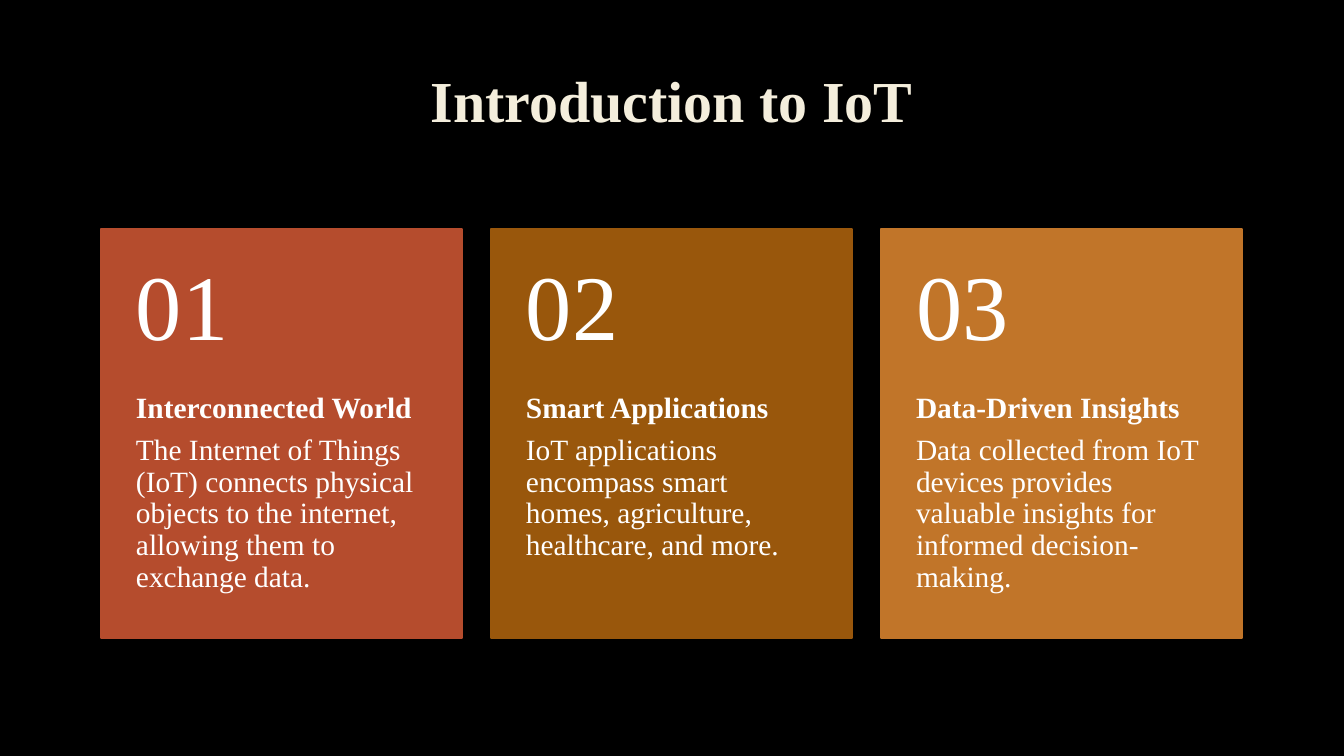
from pptx import Presentation
from pptx.dml.color import RGBColor
from pptx.enum.shapes import MSO_SHAPE as Shape
from pptx.enum.text import MSO_ANCHOR as Anchor, PP_ALIGN as Align
from pptx.util import Pt

EMU_PER_PX = 914400 / 100.8
FONT = "Times New Roman"
BLACK = RGBColor(0x00, 0x00, 0x00)
CREAM = RGBColor(0xF4, 0xEE, 0xDC)
WHITE = RGBColor(0xFF, 0xFF, 0xFF)
RED = RGBColor(0xB5, 0x4C, 0x2D)
BROWN = RGBColor(0x99, 0x57, 0x0C)
ORANGE = RGBColor(0xC1, 0x75, 0x29)

CARDS = [
    (RED, "Interconnected World",
     "The Internet of Things (IoT) connects physical objects to the internet, "
     "allowing them to exchange data."),
    (BROWN, "Smart Applications",
     "IoT applications encompass smart homes, agriculture, healthcare, and more."),
    (ORANGE, "Data-Driven Insights",
     "Data collected from IoT devices provides valuable insights for informed "
     "decision-making."),
]


def px(length):
    """Turn px into EMU."""
    return round(length * EMU_PER_PX)


def add_text(shapes, box, paragraphs, *, size, color=WHITE, align=Align.LEFT,
             anchor=Anchor.TOP, insets=(0, 0, 0, 0), space_after=0):
    """Add a text box from (text, bold) paragraphs."""
    frame = shapes.add_textbox(*map(px, box)).text_frame
    frame.word_wrap = True
    frame.vertical_anchor = anchor
    (frame.margin_left, frame.margin_top,
     frame.margin_right, frame.margin_bottom) = map(px, insets)
    for index, (text, bold) in enumerate(paragraphs):
        paragraph = frame.add_paragraph() if index else frame.paragraphs[0]
        paragraph.alignment = align
        paragraph.line_spacing = 0.9
        paragraph.space_after = Pt(space_after)
        run = paragraph.add_run()
        run.text = text
        run.font.name = FONT
        run.font.size = Pt(size)
        run.font.bold = bold
        run.font.color.rgb = color


def add_title(slide, box):
    """Place the slide title in the upper part of its box."""
    add_text(slide.shapes, box, [("Introduction to IoT", True)], size=41.4,
             color=CREAM, align=Align.CENTER, anchor=Anchor.MIDDLE,
             insets=(10, 5, 10, 70))


def add_card(slide, box, number, color, heading, body):
    """Place one coloured card with its number, heading and body."""
    left, top, width, height = box
    number_height = 164
    shapes = slide.shapes.add_group_shape().shapes
    card = shapes.add_shape(Shape.RECTANGLE, *map(px, box))
    card.shadow.inherit = False
    card.fill.solid()
    card.fill.fore_color.rgb = color
    card.line.color.rgb = color
    card.line.width = Pt(1.25)
    add_text(shapes, (left, top + number_height, width, height - number_height),
             [(heading, True), (body, False)], size=21,
             insets=(35, 0, 35, 36), space_after=7.35)
    add_text(shapes, (left, top, width, number_height),
             [(f"{number:02}", False)], size=66, anchor=Anchor.MIDDLE,
             insets=(35, 18, 35, 18))


def add_cards(slide, box, gap):
    """Spread the cards evenly across the box."""
    left, top, width, height = box
    card_width = (width - gap * (len(CARDS) - 1)) / len(CARDS)
    for index, card in enumerate(CARDS):
        card_left = left + index * (card_width + gap)
        add_card(slide, (card_left, top, card_width, height), index + 1, *card)


def main():
    """Build and save the slide."""
    presentation = Presentation()
    presentation.slide_width = px(1344)
    presentation.slide_height = px(756)
    slide = presentation.slides.add_slide(presentation.slide_layouts[6])
    slide.background.fill.solid()
    slide.background.fill.fore_color.rgb = BLACK
    add_title(slide, (101, 67, 1141, 139))
    add_cards(slide, (101, 229, 1141, 409), gap=29)
    presentation.save("out.pptx")


if __name__ == "__main__":
    main()
